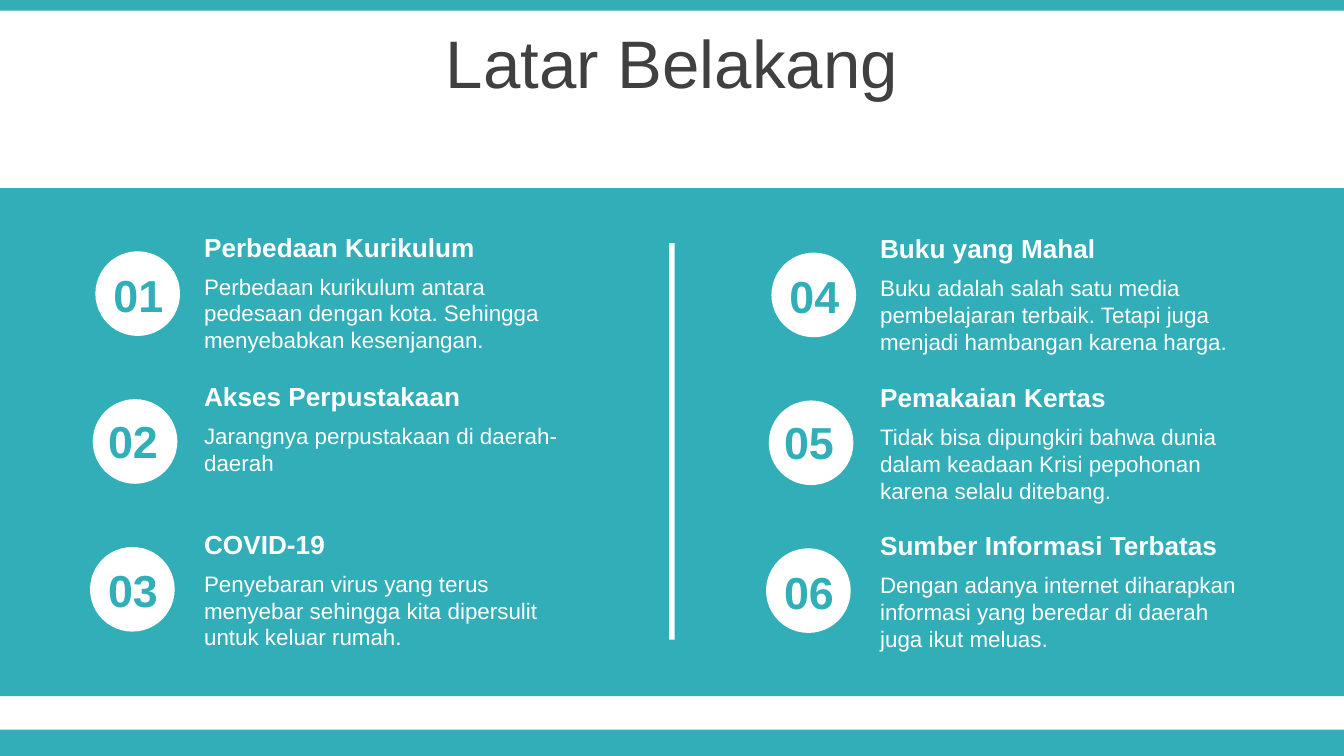
from pptx import Presentation
from pptx import util as u
from pptx.dml.color import RGBColor
from pptx.enum import shapes, text

COLORS = {"teal": "32AEB8", "white": "FFFFFF", "dark": "404040"}
FONT = "Arial"

prs = Presentation()
prs.slide_width = u.Inches(10)
prs.slide_height = u.Inches(10 * 9 / 16)
slide = prs.slides.add_slide(prs.slide_layouts[5])


def add_block(kind, color, *box):
    block = slide.shapes.add_shape(kind, *map(u.Inches, box))
    block.shadow.inherit = False
    block.fill.solid()
    block.fill.fore_color.rgb = RGBColor.from_string(COLORS[color])
    block.line.fill.background()


def write(holder, words, size, color, bold=False, align=text.PP_ALIGN.LEFT):
    frame = holder.text_frame
    frame.text = words
    frame.word_wrap = True
    frame.auto_size = text.MSO_AUTO_SIZE.NONE
    paragraph = frame.paragraphs[0]
    paragraph.alignment = align
    font = paragraph.runs[0].font
    font.name, font.size, font.bold = FONT, u.Pt(size), bold
    font.color.rgb = RGBColor.from_string(COLORS[color])


RECT = shapes.MSO_SHAPE.RECTANGLE
LEFT, CENTER = text.PP_ALIGN.LEFT, text.PP_ALIGN.CENTER

add_block(RECT, "teal", 0, 5.43, 10, 0.2)
add_block(RECT, "teal", 0, 0, 10, 0.08)
add_block(RECT, "teal", 0, 1.4, 10, 3.78)
add_block(RECT, "white", 4.98, 1.81, 0.04, 2.95)

title = slide.shapes.title
title.left, title.top = u.Inches(0), u.Inches(0.14)
title.width, title.height = u.Inches(10), u.Inches(0.63)
write(title, "Latar Belakang", 36, "dark", align=CENTER)
title.text_frame.vertical_anchor = text.MSO_ANCHOR.MIDDLE
title.text_frame.paragraphs[0].space_before = u.Pt(6)

reasons = [
    ("Perbedaan Kurikulum",
     "Perbedaan kurikulum antara pedesaan dengan kota. Sehingga menyebabkan kesenjangan."),
    ("Akses Perpustakaan", "Jarangnya perpustakaan di daerah-daerah"),
    ("COVID-19",
     "Penyebaran virus yang terus menyebar sehingga kita dipersulit untuk keluar rumah."),
    ("Buku yang Mahal",
     "Buku adalah salah satu media pembelajaran terbaik. "
     "Tetapi juga menjadi hambangan karena harga."),
    ("Pemakaian Kertas",
     "Tidak bisa dipungkiri bahwa dunia dalam keadaan Krisi pepohonan karena selalu ditebang."),
    ("Sumber Informasi Terbatas",
     "Dengan adanya internet diharapkan informasi yang beredar di daerah juga ikut meluas."),
]
text_offsets = [0, 1.11, 2.21]
number_places = [(0.68, 1.94), (0.64, 3.03), (0.64, 4.14)]

for index, (heading, detail) in enumerate(reasons):
    column, row = divmod(index, 3)
    x, y = column * 5.03, column * 0.01
    text_top = y + text_offsets[row]
    number_left, number_top = number_places[row]
    add_block(shapes.MSO_SHAPE.OVAL, "white",
              x + 0.71 - row * 0.02, y + 1.87 + row * 1.1, 0.63, 0.63)
    detail_height = 0.5 if index == 1 else 0.71
    for words, box, size, color, bold, align in [
        (detail, (x + 1.42, text_top + 1.98, 2.91, detail_height), 12, "white", False, LEFT),
        (heading, (x + 1.42, text_top + 1.67, 2.91, 0.34), 14, "white", True, LEFT),
        (f"{index + 1:02}", (x + number_left, y + number_top, 0.7, 0.5), 24, "teal", True, CENTER),
    ]:
        write(slide.shapes.add_textbox(*map(u.Inches, box)), words, size, color, bold, align)

prs.save("out.pptx")
